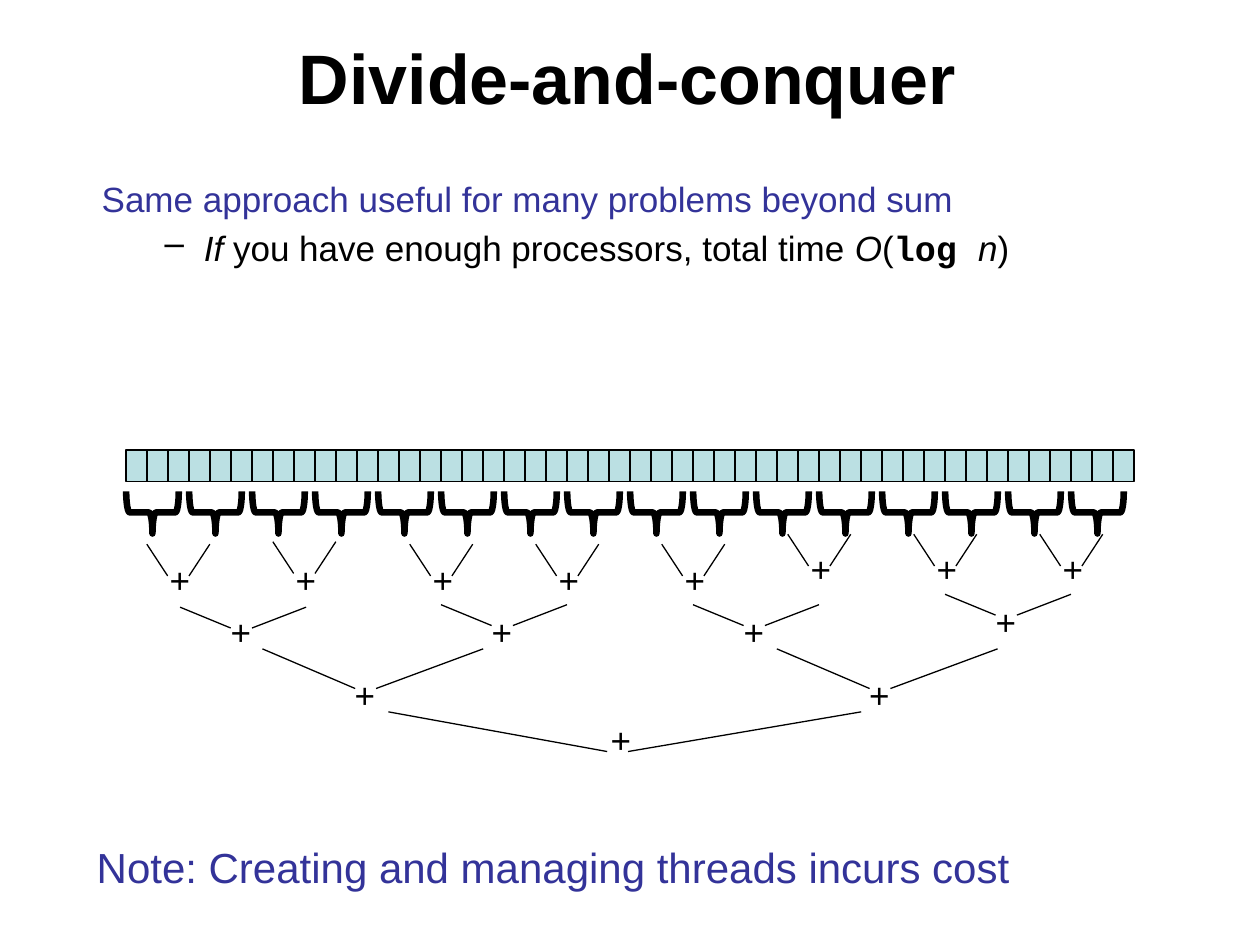
from lxml.etree import SubElement
from pptx import Presentation
from pptx.dml.color import RGBColor
from pptx.enum.shapes import MSO_CONNECTOR, MSO_SHAPE
from pptx.enum.text import MSO_ANCHOR, MSO_AUTO_SIZE, PP_ALIGN
from pptx.oxml.ns import qn
from pptx.util import Cm, Pt

COLORS = {name: RGBColor.from_string(value) for name, value in {
    "black": "000000", "heading": "333399", "cell": "BBE0E3"}.items()}

deck = Presentation()
deck.slide_width, deck.slide_height = Cm(25.4), Cm(19.05)
slide = deck.slides.add_slide(deck.slide_layouts[6])
shapes = slide.shapes


def add_text(left, top, width, height, words, size, color="black", bold=False):
    """Add a wrapped one-run text box and return its text frame."""
    frame = shapes.add_textbox(Cm(left), Cm(top), Cm(width), Cm(height)).text_frame
    frame.word_wrap = True
    add_run(frame.paragraphs[0], words, size, color, bold=bold)
    return frame


def add_run(paragraph, words, size, color="black", face="Arial", bold=False, italic=False):
    run = paragraph.add_run()
    run.text = words
    font = run.font
    font.name, font.size, font.bold, font.italic = face, Pt(size), bold, italic
    font.color.rgb = COLORS[color]


title = add_text(0.48, 0.28, 24.33, 2.51, "Divide-and-conquer", 40, bold=True)
title.vertical_anchor = MSO_ANCHOR.MIDDLE
title.paragraphs[0].alignment = PP_ALIGN.CENTER

body = add_text(1.8, 3.45, 22.66, 3.43,
                "Same approach useful for many problems beyond sum", 20, "heading")
claim = body.add_paragraph()
claim.space_before = Pt(4)
claim_props = claim._p.get_or_add_pPr()
claim_props.set("marL", str(Cm(2.06)))
claim_props.set("indent", str(Cm(-0.79)))
SubElement(claim_props, qn("a:buChar")).set("char", "–")
for words, style in [
    ("If", {"italic": True}),
    (" you have enough processors, total time ", {}),
    ("O", {"italic": True}),
    ("(", {}),
    ("log ", {"face": "Courier New", "bold": True}),
    ("n", {"italic": True}),
    (")", {}),
]:
    add_run(claim, words, 20, **style)

# Array of 48 cells, six to the inch
cell_width = 2.54 / 6
for index in range(48):
    cell = shapes.add_shape(MSO_SHAPE.RECTANGLE, Cm(2.54 + index * cell_width), Cm(9.07),
                            Cm(cell_width), Cm(0.64))
    cell.shadow.inherit = False
    cell.fill.solid()
    cell.fill.fore_color.rgb = COLORS["cell"]
    cell.line.color.rgb = COLORS["black"]
    cell.line.width = Pt(0.75)

# One brace under every three cells
for index in range(16):
    brace = shapes.add_shape(MSO_SHAPE.LEFT_BRACE, Cm(2.65 + index * 3 * cell_width), Cm(9.8),
                             Cm(0.85), Cm(1.06))
    brace.rotation = 270
    brace.adjustments[0] = 0.083
    brace.shadow.inherit = False
    brace.fill.background()
    brace.line.color.rgb = COLORS["black"]
    brace.line.width = Pt(3.75)

# Each level: span between the two branch tops, where the branches end, their
# drop, the plus offset, and (left, branch top, plus top) of every join
levels = [
    (1.27, 0.42, 0.85, 0.64, 0.21, [
        (2.96, 10.97, 11.13), (5.5, 10.92, 11.13), (8.26, 10.97, 11.13),
        (10.8, 10.97, 11.13), (13.34, 10.97, 11.13), (15.88, 10.77, 10.92),
        (18.42, 10.77, 10.92), (20.96, 10.77, 10.92)]),
    (2.54, 1.02, 1.45, 0.42, 0.77, [
        (3.63, 12.24, 12.19), (8.89, 12.19, 12.19),
        (13.97, 12.19, 12.19), (19.05, 11.98, 11.98)]),
    (4.45, 1.87, 2.29, 0.8, 1.61, [(5.29, 13.08, 13.46), (15.66, 13.08, 13.46)]),
    (9.53, 4.41, 4.83, 0.8, 4.23, [(7.83, 14.35, 14.35)]),
]
for span, left_end, right_end, drop, plus_offset, joins in levels:
    for left, top, plus_top in joins:
        for start, end in [(0, left_end), (span, right_end)]:
            branch = shapes.add_connector(MSO_CONNECTOR.STRAIGHT, Cm(left + start), Cm(top),
                                          Cm(left + end), Cm(top + drop))
            branch.line.color.rgb = COLORS["black"]
            branch.line.width = Pt(0.75)
            SubElement(branch._element.spPr, qn("a:effectLst"))
        plus = add_text(left + plus_offset, plus_top, 0.91, 1.12, "+", 20)
        plus.word_wrap = False
        plus.auto_size = MSO_AUTO_SIZE.SHAPE_TO_FIT_TEXT

add_text(1.7, 16.84, 21.59, 2.06,
         "Note: Creating and managing threads incurs cost", 24, "heading")

deck.save("out.pptx")
